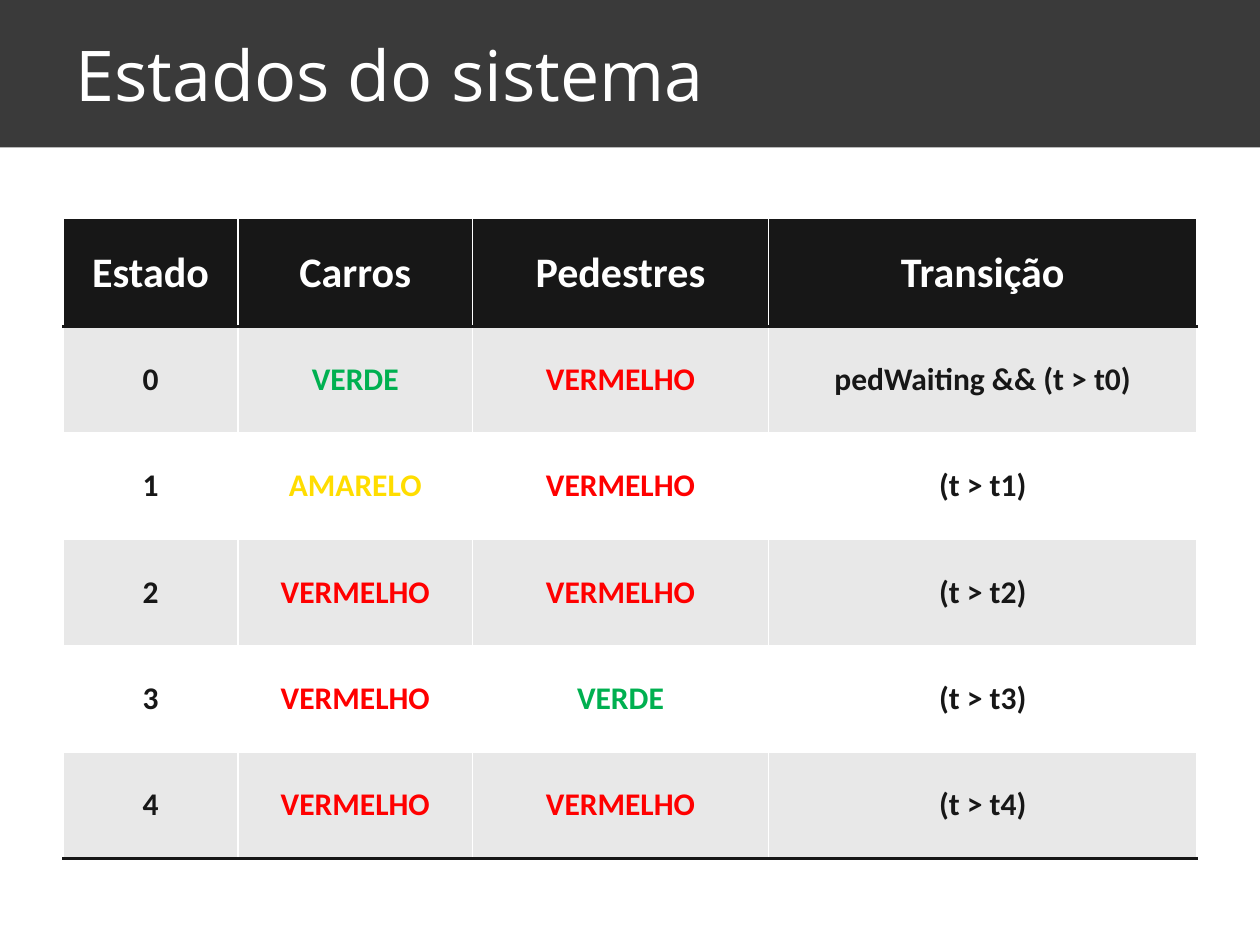
import pptx
import pptx.util
import pptx.dml.color
import pptx.enum.shapes
import pptx.enum.text
import pptx.oxml
import pptx.oxml.ns
from pptx.util import Inches

# Content
TITLE = "Estados do sistema"
HEADINGS = ("Estado", "Carros", "Pedestres", "Transição")
STATES = [
    ("0", "VERDE", "VERMELHO", "pedWaiting && (t > t0)"),
    ("1", "AMARELO", "VERMELHO", "(t > t1)"),
    ("2", "VERMELHO", "VERMELHO", "(t > t2)"),
    ("3", "VERMELHO", "VERDE", "(t > t3)"),
    ("4", "VERMELHO", "VERMELHO", "(t > t4)"),
]
COLUMN_WIDTHS = (1.39, 1.86, 2.35, 3.4)
TABLE_HEIGHT = 5.06
BANNER_HEIGHT = 1.17
COLORS = {
    "banner": "3A3A3A", "dark": "171717", "white": "FFFFFF", "stripe": "E8E8E8",
    "VERDE": "00B050", "AMARELO": "FFDD00", "VERMELHO": "FF0000",
}
MIDDLE = pptx.enum.text.MSO_ANCHOR.MIDDLE


def rgb(name):
    return pptx.dml.color.RGBColor.from_string(COLORS[name])


def style_text(frame, font_name, size, color, bold, align):
    paragraph = frame.paragraphs[0]
    paragraph.alignment = align
    font = paragraph.runs[0].font
    font.name, font.size, font.bold = font_name, pptx.util.Pt(size), bold
    font.color.rgb = rgb(color)


def add_border(cell, sides):
    for position, side in enumerate(sides):
        line = pptx.oxml.parse_xml(
            f'<a:{side} {pptx.oxml.ns.nsdecls("a")} w="{pptx.util.Pt(2)}"><a:solidFill>'
            f'<a:srgbClr val="{COLORS["dark"]}"/></a:solidFill></a:{side}>')
        cell._tc.get_or_add_tcPr().insert(position, line)


presentation = pptx.Presentation()
presentation.slide_width, presentation.slide_height = Inches(10), Inches(7.5)
slide = presentation.slides.add_slide(presentation.slide_layouts[5])

# Banner, placed behind the title
banner = slide.shapes.add_shape(pptx.enum.shapes.MSO_SHAPE.RECTANGLE,
                                0, 0, Inches(10), Inches(BANNER_HEIGHT))
banner.shadow.inherit = False
banner.fill.solid()
banner.fill.fore_color.rgb = rgb("banner")
banner.line.fill.background()
slide.shapes._spTree.insert(2, banner._element)

# Title
title = slide.shapes.title
title.left, title.top = Inches(0.5), 0
title.width, title.height = Inches(9), Inches(BANNER_HEIGHT)
title.text_frame.text = TITLE
title.text_frame.vertical_anchor = MIDDLE
style_text(title.text_frame, "Open Sans", 40, "white", False,
           pptx.enum.text.PP_ALIGN.LEFT)

# State table
rows = [HEADINGS] + STATES
state_table = slide.shapes.add_table(
    len(rows), len(HEADINGS), Inches(0.5), Inches(1.75),
    Inches(sum(COLUMN_WIDTHS)), Inches(TABLE_HEIGHT)).table
for column, width in zip(state_table.columns, COLUMN_WIDTHS):
    column.width = Inches(width)

for r, row in enumerate(rows):
    state_table.rows[r].height = Inches(TABLE_HEIGHT / len(rows))
    is_header = r == 0
    fill = "dark" if is_header else "stripe" if r % 2 else "white"
    for c, text in enumerate(row):
        cell = state_table.cell(r, c)
        cell.text_frame.text = text
        cell.vertical_anchor = MIDDLE
        cell.fill.solid()
        cell.fill.fore_color.rgb = rgb(fill)
        color = "white" if is_header else text if text in COLORS else "dark"
        style_text(cell.text_frame, "Calibri", 24 if is_header else 18, color,
                   True, pptx.enum.text.PP_ALIGN.CENTER)
        if is_header:
            add_border(cell, ("lnT", "lnB"))
        elif r == len(rows) - 1:
            add_border(cell, ("lnB",))

presentation.save("out.pptx")
